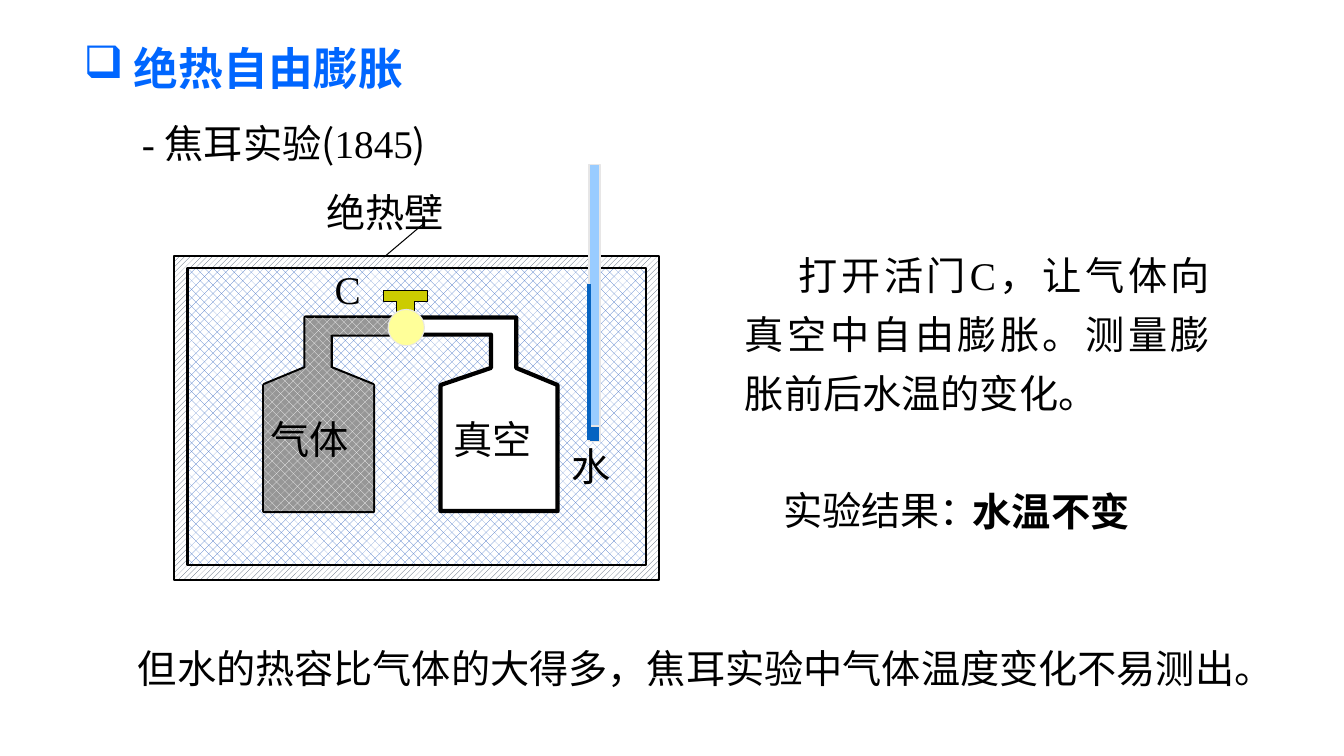
from lxml import etree
from pptx import Presentation
from pptx.dml.color import RGBColor
from pptx.enum.dml import MSO_PATTERN
from pptx.enum.shapes import MSO_CONNECTOR, MSO_SHAPE
from pptx.enum.text import MSO_ANCHOR, MSO_AUTO_SIZE, PP_ALIGN
from pptx.oxml.ns import qn
from pptx.util import Inches, Pt

BLACK = RGBColor(0x00, 0x00, 0x00)
WHITE = RGBColor(0xFF, 0xFF, 0xFF)
TITLE_BLUE = RGBColor(0x00, 0x66, 0xFF)
WALL_GRAY = RGBColor(0x44, 0x54, 0x6A)
WATER_BLUE = RGBColor(0x44, 0x72, 0xC4)
GAS_GRAY = RGBColor(0x96, 0x96, 0x96)
VALVE_GOLD = RGBColor(0xCC, 0xCC, 0x00)
KNOB_YELLOW = RGBColor(0xFF, 0xFF, 0x99)
PALE_GRAY = RGBColor(0xE7, 0xE6, 0xE6)
TUBE_BLUE = RGBColor(0x99, 0xCC, 0xFF)
MERCURY_BLUE = RGBColor(0x05, 0x63, 0xC1)
CJK = "Noto Sans CJK SC"
ROMAN = "Times New Roman"
HATCHED = MSO_PATTERN.from_xml("wdUpDiag")
DOTTED = MSO_PATTERN.from_xml("pct40")

GAS_BOTTLE = [(3.03, 3.15), (3.03, 3.65), (2.62, 3.82), (2.62, 5.07),
              (3.7, 5.07), (3.7, 3.82), (3.28, 3.65), (3.28, 3.32)]
VACUUM_BOTTLE = [(4.87, 3.32), (4.87, 3.65), (4.37, 3.82), (4.37, 5.07),
                 (5.53, 5.07), (5.53, 3.82), (5.12, 3.65), (5.12, 3.15)]
GAS_PIPE_END = [(3.95, 3.32), (3.95, 3.15)]
VALVE = [(3.93, 2.99), (3.8, 2.99), (3.8, 2.88), (4.24, 2.88),
         (4.24, 2.99), (4.11, 2.99), (4.11, 3.26), (3.93, 3.26)]


def add_text(slide, box, runs, size=28, color=BLACK, bold=False, wrap=True):
    shape = slide.shapes.add_textbox(*map(Inches, box))
    frame = shape.text_frame
    frame.word_wrap = wrap
    frame.auto_size = MSO_AUTO_SIZE.SHAPE_TO_FIT_TEXT
    frame.vertical_anchor = MSO_ANCHOR.TOP if wrap else MSO_ANCHOR.MIDDLE
    paragraph = frame.paragraphs[0]
    for text, font_name in runs:
        run = paragraph.add_run()
        run.text = text
        run.font.size = Pt(size)
        run.font.bold = bold
        run.font.color.rgb = color
        run.font.name = font_name
        east_asian = etree.SubElement(run.font._element, qn("a:ea"))
        east_asian.set("typeface", CJK)
    return paragraph


def set_indent(paragraph, first_line, left=0, bullet=None):
    properties = paragraph._p.get_or_add_pPr()
    properties.set("marL", str(Inches(left)))
    properties.set("indent", str(Inches(first_line)))
    if bullet:
        etree.SubElement(properties, qn("a:buChar")).set("char", bullet)


def style_shape(shape, fill, line, width, pattern=None, back=WHITE):
    shape.shadow.inherit = False
    if pattern is None:
        shape.fill.solid()
        shape.fill.fore_color.rgb = fill
    else:
        shape.fill.patterned()
        shape.fill.pattern = pattern
        shape.fill.fore_color.rgb = fill
        shape.fill.back_color.rgb = back
    if line is None:
        shape.line.fill.background()
    else:
        shape.line.color.rgb = line
        shape.line.width = Pt(width)


def add_preset(slide, kind, box, fill, line, width, pattern=None):
    shape = slide.shapes.add_shape(kind, *map(Inches, box))
    style_shape(shape, fill, line, width, pattern)


def add_outline(slide, points, fill, line, width, pattern=None, back=WHITE):
    corners = [(Inches(x), Inches(y)) for x, y in points]
    builder = slide.shapes.build_freeform(*corners[0])
    builder.add_line_segments(corners[1:], close=True)
    style_shape(builder.convert_to_shape(), fill, line, width, pattern, back)


def add_line(slide, start, end, color, width):
    connector = slide.shapes.add_connector(
        MSO_CONNECTOR.STRAIGHT, *map(Inches, start + end))
    connector.line.color.rgb = color
    connector.line.width = Pt(width)
    etree.SubElement(connector._element.spPr, qn("a:effectLst"))


def add_explanation(slide):
    add_text(slide, (7.67, 4.77, 2.17, 0.57), [("实验结果：", CJK)], wrap=False)
    add_text(slide, (9.55, 4.78, 1.76, 0.57), [("水温不变", CJK)],
             bold=True, wrap=False)
    add_text(slide, (1.31, 1.13, 4.32, 0.57),
             [("- 焦耳实验", ROMAN), ("(", CJK), ("1845", ROMAN), (")", CJK)])
    procedure = add_text(
        slide, (7.29, 2.33, 4.81, 1.83),
        [("打开活门C，让气体向真空中自由膨胀。测量膨胀前后水温的变化。", ROMAN)])
    procedure.alignment = PP_ALIGN.JUSTIFY
    procedure.line_spacing = 1.25
    set_indent(procedure, 0.53)
    remark = add_text(
        slide, (1.09, 6.25, 11.83, 0.63),
        [("但水的热容比气体的大得多，焦耳实验中气体温度变化不易测出。", CJK)])
    remark.line_spacing = 1.2
    set_indent(remark, 0.18)


def add_apparatus(slide):
    rectangle = MSO_SHAPE.RECTANGLE
    add_preset(slide, rectangle, (1.73, 2.54, 4.81, 3.21),
               WALL_GRAY, BLACK, 1.5, HATCHED)
    add_preset(slide, rectangle, (1.86, 2.66, 4.55, 2.95),
               WATER_BLUE, BLACK, 1.5, DOTTED)
    add_outline(slide, GAS_BOTTLE + VACUUM_BOTTLE, WHITE, BLACK, 3)
    add_outline(slide, GAS_BOTTLE + GAS_PIPE_END, WHITE, None, 0,
                DOTTED, GAS_GRAY)
    add_outline(slide, VALVE, VALVE_GOLD, BLACK, 0.75)
    add_preset(slide, MSO_SHAPE.OVAL, (3.85, 3.07, 0.36, 0.36),
               KNOB_YELLOW, PALE_GRAY, 0.75)
    for left, label in ((2.58, "气体"), (4.4, "真空")):
        add_text(slide, (left, 4.07, 0.99, 0.57), [(label, ROMAN)], wrap=False)
    add_preset(slide, rectangle, (5.84, 1.63, 0.11, 2.59), TUBE_BLUE, PALE_GRAY, 1)
    add_preset(slide, rectangle, (5.84, 4.23, 0.11, 0.15), MERCURY_BLUE, PALE_GRAY, 1)
    add_line(slide, (5.84, 4.37), (5.84, 2.82), MERCURY_BLUE, 3)
    add_text(slide, (5.57, 4.34, 0.75, 0.57), [("水", CJK)])
    add_text(slide, (3.22, 2.58, 0.69, 0.57), [("C", ROMAN)])
    add_text(slide, (3.14, 1.82, 2.11, 0.57), [("绝热壁", CJK)])
    add_line(slide, (4.2, 2.22), (3.81, 2.55), BLACK, 0.75)


def main():
    presentation = Presentation()
    presentation.slide_width = Inches(13.33)
    presentation.slide_height = Inches(7.5)
    slide = presentation.slides.add_slide(presentation.slide_layouts[6])
    add_explanation(slide)
    add_apparatus(slide)
    title = add_text(slide, (0.73, 0.36, 7.55, 0.64), [("绝热自由膨胀", ROMAN)],
                     size=32, color=TITLE_BLUE, bold=True)
    set_indent(title, -0.5, 0.5, "❑")
    presentation.save("out.pptx")


if __name__ == "__main__":
    main()
